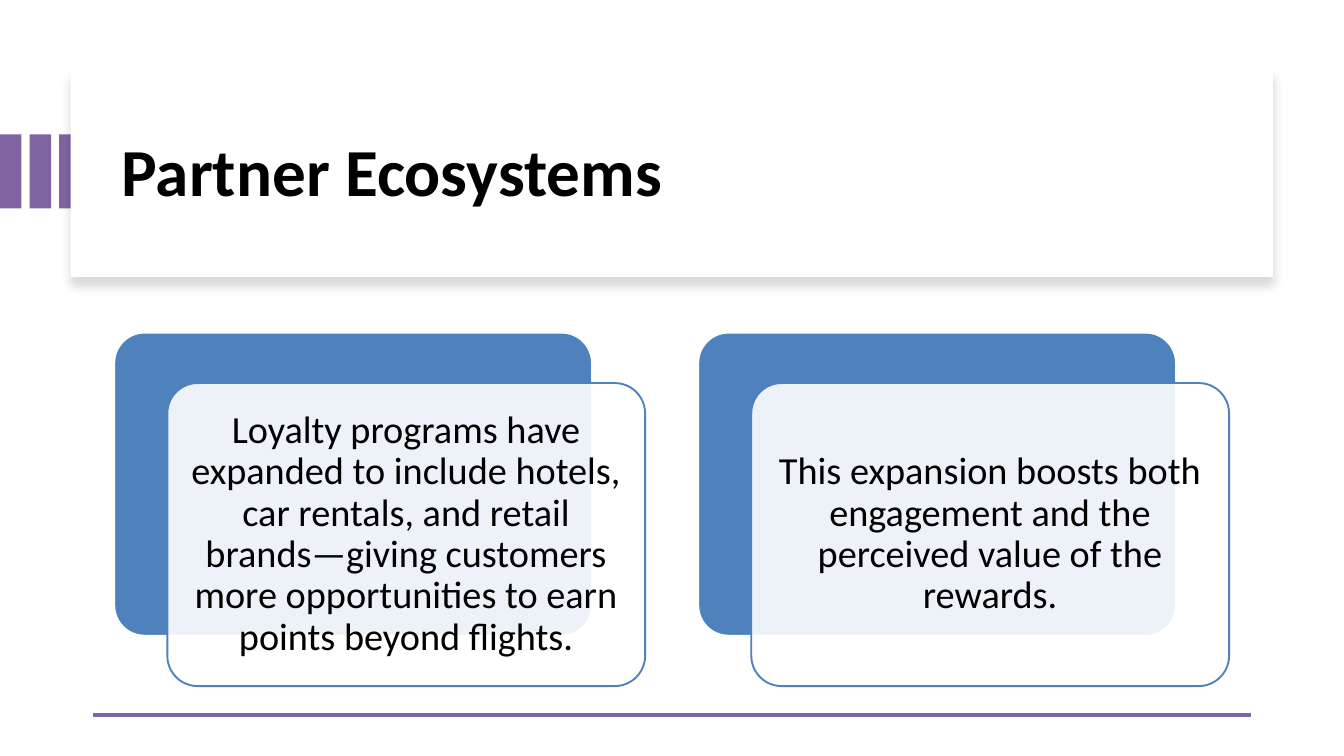
from lxml import etree
from pptx import Presentation
from pptx.dml.color import RGBColor
from pptx.enum.shapes import MSO_CONNECTOR, MSO_SHAPE
from pptx.enum.text import MSO_ANCHOR, PP_ALIGN
from pptx.oxml.ns import qn
from pptx.util import Inches, Pt

RECT, ROUND = MSO_SHAPE.RECTANGLE, MSO_SHAPE.ROUNDED_RECTANGLE
STRAIGHT = MSO_CONNECTOR.STRAIGHT
MIDDLE = MSO_ANCHOR.MIDDLE
LEFT, CENTER = PP_ALIGN.LEFT, PP_ALIGN.CENTER

WIDTH, HEIGHT = Inches(20), Inches(11.25)
COLS, ROWS = 20, 11.25
PURPLE, BLUE, WHITE, BLACK = "8064A2", "4F81BD", "FFFFFF", "000000"

CARDS = [
    "Loyalty programs have expanded to include hotels, car rentals, and retail "
    "brands—giving customers more opportunities to earn points beyond flights.",
    "This expansion boosts both engagement and the perceived value of the rewards.",
]


def paint(code):
    return RGBColor.from_string(code)


def write(frame, text, size=41, bold=False, color=BLACK, align=LEFT, inset=0.1):
    """Fill a text frame with one formatted paragraph."""
    frame.word_wrap = True
    frame.vertical_anchor = MIDDLE
    frame.margin_left = frame.margin_right = Inches(inset)
    frame.margin_top = frame.margin_bottom = Inches(inset)
    para = frame.paragraphs[0]
    para.alignment = align
    para.line_spacing = 0.9
    run = para.add_run()
    run.text = text
    run.font.name = "Calibri"
    run.font.size = Pt(size)
    run.font.bold = bold
    run.font.color.rgb = paint(color)


class Page:
    """Style and current slide; places are given in grid columns and rows."""

    def __init__(self, deck):
        self.slide = deck.slides.add_slide(deck.slide_layouts[6])
        self.shapes = self.slide.shapes

    def grid(self, x, y, w, h):
        col, row = WIDTH / COLS, HEIGHT / ROWS
        return int(x * col), int(y * row), int(w * col), int(h * row)

    def block(self, x, y, w, h, fill, kind=RECT, line=None, alpha=None):
        shape = self.shapes.add_shape(kind, *self.grid(x, y, w, h))
        shape.shadow.inherit = False
        shape.fill.solid()
        shape.fill.fore_color.rgb = paint(fill)
        if kind == ROUND:
            shape.adjustments[0] = 0.1
        if line:
            shape.line.color.rgb = paint(line)
            shape.line.width = Pt(2)
        else:
            shape.line.fill.background()
        if alpha:
            tint = shape.fill._xPr.find(qn("a:solidFill"))[0]
            etree.SubElement(tint, qn("a:alpha"), val=str(alpha * 1000))
        return shape

    def shade(self, shape, alpha, blur, drop):
        """Give a shape a soft shadow straight below it."""
        effects = shape._element.spPr.find(qn("a:effectLst"))
        outer = etree.SubElement(
            effects, qn("a:outerShdw"), blurRad=str(Pt(blur)),
            dist=str(Pt(drop)), dir="5400000", algn="t", rotWithShape="0")
        tint = etree.SubElement(outer, qn("a:srgbClr"), val=BLACK)
        etree.SubElement(tint, qn("a:alpha"), val=str(alpha * 1000))

    def text(self, x, y, w, h, words, **style):
        box = self.shapes.add_textbox(*self.grid(x, y, w, h))
        write(box.text_frame, words, **style)

    def rule(self, x, y, w, color, width):
        left, top, span, _ = self.grid(x, y, w, 0)
        line = self.shapes.add_connector(STRAIGHT, left, top, left + span, top)
        line.line.color.rgb = paint(color)
        line.line.width = Pt(width)
        etree.SubElement(line._element.spPr, qn("a:effectLst"))

    def card(self, x, y, words):
        w, h = 7.11, 4.51
        self.block(x, y, w, h, BLUE, ROUND, line=WHITE)
        x, y = x + 0.79, y + 0.75
        self.block(x, y, w, h, WHITE, ROUND, line=BLUE, alpha=90)
        pad = 0.13
        self.text(x + pad, y + pad, w - 2 * pad, h - 2 * pad, words,
                  align=CENTER, inset=0.17)


def main():
    deck = Presentation()
    deck.slide_width, deck.slide_height = WIDTH, HEIGHT
    page = Page(deck)

    # Accent bars at the left edge
    for i in range(3):
        page.block(0.44 * i, 2, 0.32, 1.1, PURPLE)

    # Title panel
    panel = page.block(1.05, 1.01, 17.89, 3.11, WHITE)
    page.shade(panel, alpha=15, blur=11, drop=10)
    page.text(1.71, 1.33, 16.69, 2.55, "Partner Ecosystems", size=72, bold=True)

    # Bottom rule
    page.rule(1.38, 10.64, 17.24, PURPLE, 4.5)

    # Layered cards
    for i, words in enumerate(CARDS):
        page.card(1.7 + 8.69 * i, 4.95, words)

    deck.save("out.pptx")


if __name__ == "__main__":
    main()
